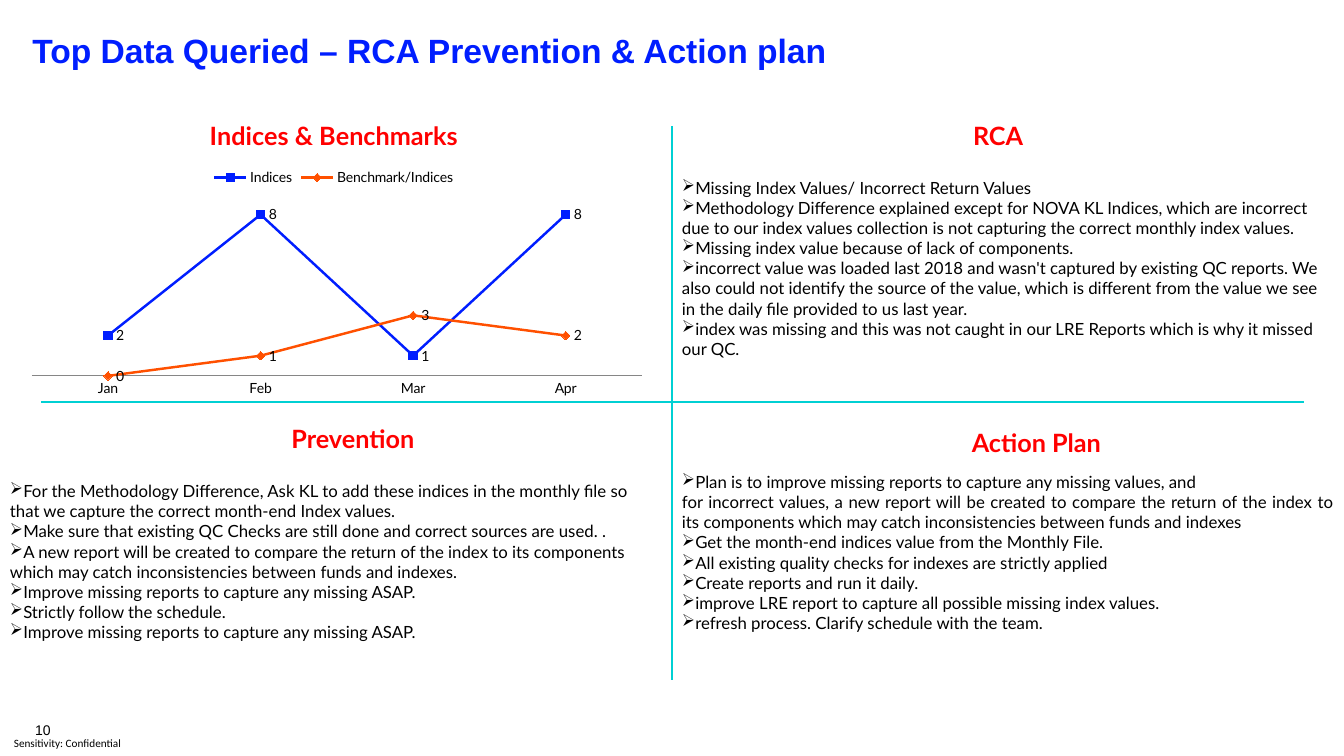
from lxml import etree
from pptx import Presentation
from pptx.chart.data import CategoryChartData
from pptx.dml.color import RGBColor
from pptx.enum.chart import XL_CHART_TYPE as ChartType, XL_LABEL_POSITION as LabelPosition
from pptx.enum.chart import XL_LEGEND_POSITION as LegendPosition, XL_MARKER_STYLE as Marker
from pptx.enum.chart import XL_TICK_MARK as TickMark
from pptx.enum.shapes import MSO_CONNECTOR
from pptx.enum.text import MSO_ANCHOR as Anchor, MSO_AUTO_SIZE as AutoSize, PP_ALIGN as Align
from pptx.oxml import parse_xml
from pptx.oxml.ns import nsdecls, qn
from pptx.util import Inches, Pt

WIDTH, HEIGHT = 13.33, 7.5
MIDDLE = WIDTH / 2
COLOURS = {"blue": "001EFF", "orange": "FF5000", "red": "FF0000",
           "teal": "00D0D3", "black": "000000", "grey": "868686"}
BULLET = "➢"

TITLE = "Top Data Queried – RCA Prevention & Action plan"
CHART_TITLE = "Indices & Benchmarks"
MONTHS = ["Jan", "Feb", "Mar", "Apr"]
SERIES = [("Indices", [2, 8, 1, 8], "blue", Marker.SQUARE),
          ("Benchmark/Indices", [0, 1, 3, 2], "orange", Marker.DIAMOND)]
PLOT_SHARES = {"x": 0.02, "y": 0.31, "w": 0.97, "h": 0.6}

# heading, centre of heading, top of heading
HEADINGS = [("RCA", 9.9, 1.14), ("Action Plan", 10.28, 4.19), ("Prevention", 3.5, 4.15)]

RCA = [
    "Missing Index Values/ Incorrect Return Values",
    "Methodology Difference explained except for NOVA KL Indices, which are incorrect due to our "
    "index values collection is not capturing the correct monthly index values.",
    "Missing index value because of lack of components.",
    "incorrect value was loaded last 2018 and wasn't captured by existing QC reports. We also could "
    "not identify the source of the value, which is different from the value we see in the daily "
    "file provided to us last year.",
    "index was missing and this was not caught in our LRE Reports which is why it missed our QC.",
]
ACTION_START = ["Plan is to improve missing reports to capture any missing values, and"]
ACTION_CONTINUED = (
    "for incorrect values, a new report will be created to compare the return of the index to its "
    "components which may catch inconsistencies between funds and indexes")
ACTION_REST = [
    "Get the month-end indices value from the Monthly File.",
    "All existing quality checks for indexes are strictly applied",
    "Create reports and run it daily.",
    "improve LRE report to capture all possible missing index values.",
    "refresh process. Clarify schedule with the team.",
]
PREVENTION = [
    "For the Methodology Difference, Ask KL to add these indices in the monthly file so that we "
    "capture the correct month-end Index values.",
    "Make sure that existing QC Checks are still done and correct sources are used. .",
    "A new report will be created to compare the return of the index to its components which may "
    "catch inconsistencies between funds and indexes.",
    "Improve missing reports to capture any missing ASAP.",
    "Strictly follow the schedule.",
    "Improve missing reports to capture any missing ASAP.",
]


def bulleted(lines, align=Align.LEFT):
    return [(line, True, align) for line in lines]


# left, top, height, paragraphs as (text, has bullet, alignment)
PANELS = [
    (MIDDLE, 1.71, 2.13, bulleted(RCA)),
    (MIDDLE, 4.63, 1.92, bulleted(ACTION_START) + [(ACTION_CONTINUED, False, Align.JUSTIFY)]
     + bulleted(ACTION_REST, Align.JUSTIFY)),
    (0, 4.72, 1.72, bulleted(PREVENTION)),
]
DIVIDERS = [(MIDDLE, 1.25, MIDDLE, 6.75), (12.93, 3.99, 0.41, 3.99)]


def rgb(name):
    return RGBColor.from_string(COLOURS[name])


def format_font(font, size, name="Lato", colour="black", bold=False):
    for attribute, value in {"size": Pt(size), "name": name, "bold": bold}.items():
        setattr(font, attribute, value)
    font.color.rgb = rgb(colour)


def format_frame(frame, **values):
    for attribute, value in {"word_wrap": True, "auto_size": AutoSize.NONE, **values}.items():
        setattr(frame, attribute, value)


def no_margins():
    return {f"margin_{side}": 0 for side in ("left", "top", "right", "bottom")}


def add_text(slide, box, paragraphs, font, **frame_values):
    frame = slide.shapes.add_textbox(*map(Inches, box)).text_frame
    format_frame(frame, **frame_values)
    for number, (text, has_bullet, align) in enumerate(paragraphs):
        paragraph = frame.add_paragraph() if number else frame.paragraphs[0]
        paragraph.alignment = align
        run = paragraph.add_run()
        run.text = text
        format_font(run.font, **font)
        if has_bullet:
            properties = paragraph._p.get_or_add_pPr()
            properties.set("marL", "0")
            properties.set("indent", "0")
            etree.SubElement(properties, qn("a:buChar")).set("char", BULLET)


def place_plot(chart):
    """Fix the inner plot area at its shares of the chart."""
    plot_area = chart._chartSpace.chart.plotArea
    for layout in plot_area.findall(qn("c:layout")):
        plot_area.remove(layout)
    shares = "".join(f'<c:{key} val="{value}"/>' for key, value in PLOT_SHARES.items())
    plot_area.insert(0, parse_xml(
        f'<c:layout {nsdecls("c")}><c:manualLayout><c:layoutTarget val="inner"/>'
        f'<c:xMode val="edge"/><c:yMode val="edge"/>{shares}</c:manualLayout></c:layout>'))


def add_line_chart(slide):
    data = CategoryChartData()
    data.categories = MONTHS
    for name, values, *_ in SERIES:
        data.add_series(name, values)
    box = map(Inches, (0.19, 1, 6.24, 3))
    chart = slide.shapes.add_chart(ChartType.LINE_MARKERS, *box, data).chart
    format_font(chart.font, 10)

    chart.has_title = True
    chart.chart_title.include_in_layout = False
    run = chart.chart_title.text_frame.paragraphs[0].add_run()
    run.text = CHART_TITLE
    format_font(run.font, 18, colour="red", bold=True)
    chart.has_legend = True
    chart.legend.position = LegendPosition.TOP
    chart.legend.include_in_layout = False

    values_axis, months_axis = chart.value_axis, chart.category_axis
    for attribute, value in {"minimum_scale": 0, "maximum_scale": 9, "major_unit": 1,
                             "has_major_gridlines": False, "visible": False}.items():
        setattr(values_axis, attribute, value)
    months_axis.major_tick_mark = TickMark.NONE
    months_axis.format.line.color.rgb = rgb("grey")

    plot = chart.plots[0]
    plot.vary_by_categories = False
    for series, (_, _, colour, marker) in zip(plot.series, SERIES):
        series.smooth = False
        series.format.line.color.rgb = rgb(colour)
        series.format.line.width = Pt(1.75)
        series.marker.style, series.marker.size = marker, 6
        series.marker.format.fill.solid()
        series.marker.format.fill.fore_color.rgb = rgb(colour)
        series.marker.format.line.color.rgb = rgb(colour)
        labels = series.data_labels
        labels.show_value = True
        labels.position = LabelPosition.RIGHT
        format_font(labels.font, 10)
    place_plot(chart)


def add_title(slide):
    title = slide.shapes.title
    title.left, title.top, title.width, title.height = map(Inches, (0.32, 0.34, 12.68, 0.5))
    format_frame(title.text_frame, vertical_anchor=Anchor.TOP, **no_margins())
    paragraph = title.text_frame.paragraphs[0]
    paragraph.alignment, paragraph.line_spacing = Align.LEFT, 0.9
    run = paragraph.add_run()
    run.text = TITLE
    format_font(run.font, 24, "Arial", "blue", True)


def main():
    presentation = Presentation()
    presentation.slide_width, presentation.slide_height = Inches(WIDTH), Inches(HEIGHT)
    slide = presentation.slides.add_slide(presentation.slide_layouts[5])

    add_text(slide, (0.35, 7.06, 0.6, 0.27), [("10", False, Align.LEFT)],
             {"size": 10, "name": "Arial"}, vertical_anchor=Anchor.BOTTOM, **no_margins())
    add_text(slide, (0, 7.25, 1.34, 0.25), [("Sensitivity: Confidential", False, Align.CENTER)],
             {"size": 8, "name": "Calibri"}, vertical_anchor=Anchor.MIDDLE, **no_margins())
    for ends in DIVIDERS:
        divider = slide.shapes.add_connector(MSO_CONNECTOR.STRAIGHT, *map(Inches, ends))
        divider.line.color.rgb = rgb("teal")
        divider.line.width = Pt(1)
        etree.SubElement(divider._element.spPr, qn("a:effectLst"))
    add_title(slide)
    add_line_chart(slide)
    for left, top, height, paragraphs in PANELS:
        add_text(slide, (left, top, MIDDLE, height), paragraphs, {"size": 12})
    for heading, centre, top in HEADINGS:
        add_text(slide, (centre - 1.1, top, 2.2, 0.4), [(heading, False, Align.CENTER)],
                 {"size": 18, "colour": "red", "bold": True})
    presentation.save("out.pptx")


if __name__ == "__main__":
    main()
